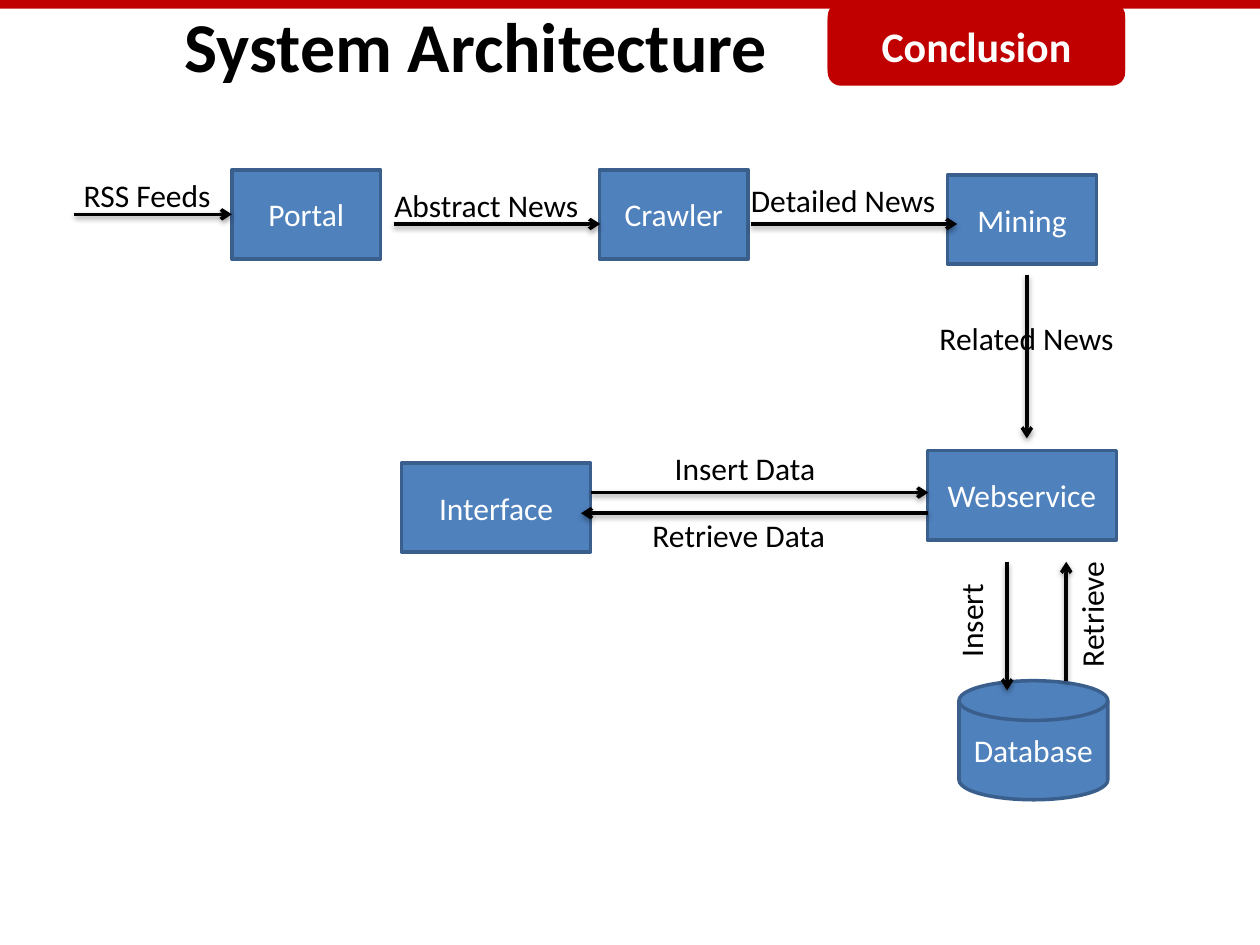
from typing import NamedTuple, Optional

import pptx
import pptx.dml.color
import pptx.enum.shapes
import pptx.enum.text
import pptx.oxml
import pptx.oxml.ns
import pptx.util

Pt = pptx.util.Pt
RGB = pptx.dml.color.RGBColor
SHAPE = pptx.enum.shapes.MSO_SHAPE
ALIGN = pptx.enum.text.PP_ALIGN
ANCHOR = pptx.enum.text.MSO_ANCHOR
AUTOSIZE = pptx.enum.text.MSO_AUTO_SIZE

RED = RGB(0xC0, 0x00, 0x00)
BLUE = RGB(0x4F, 0x81, 0xBD)
DARK_BLUE = RGB(0x3A, 0x5F, 0x8C)
WHITE = RGB(0xFF, 0xFF, 0xFF)
BLACK = RGB(0x00, 0x00, 0x00)

NARROW, WIDE, NODE_H = 85, 108, 51
LABEL_H = 29
NS = pptx.oxml.ns.nsdecls("a")
ARROWHEAD = f'<a:tailEnd {NS} type="arrow"/>'
SHADOW = (
    f'<a:effectLst {NS}><a:outerShdw blurRad="40000" dist="20000" dir="5400000" '
    'rotWithShape="0"><a:srgbClr val="000000"><a:alpha val="38000"/></a:srgbClr>'
    "</a:outerShdw></a:effectLst>"
)


class Node(NamedTuple):
    text: str
    x: float
    y: float
    w: float = NARROW
    h: float = NODE_H
    kind: int = SHAPE.RECTANGLE


class Label(NamedTuple):
    text: str
    x: float
    y: float
    w: float
    rotation: float = 0


class Arrow(NamedTuple):
    x1: float
    y1: float
    x2: float
    y2: float
    target: Optional[str] = None  # node whose left side the arrow joins


NODES = [
    Node("Portal", 132.5, 97),
    Node("Crawler", 342.5, 97),
    Node("Mining", 541.5, 100),
    Node("Database", 548, 389, h=68, kind=SHAPE.FLOWCHART_MAGNETIC_DISK),
    Node("Webservice", 530, 257.5, WIDE),
    Node("Interface", 229.5, 264.5, WIDE),
]

ARROWS = [
    Arrow(42.5, 122.5, 132.5, 122.5, "Portal"),
    Arrow(225, 128, 343, 128),
    Arrow(429, 128, 547, 128),
    Arrow(586.8, 157, 586.8, 250.5),
    Arrow(575.5, 321, 575.5, 394.5),
    Arrow(609.3, 389, 609.3, 321),
    Arrow(337.5, 281.5, 530.5, 281.5),
    Arrow(530.5, 293.3, 332, 293.3),
]

LABELS = [
    Label("RSS Feeds", 39.5, 97, 88),
    Label("Abstract News", 216.5, 102.5, 121),
    Label("Detailed News", 420.5, 100, 121),
    Label("Related News", 528.5, 178.5, 115),
    Label("Insert", 526.3, 340.5, 57, 270),
    Label("Retrieve", 586, 337, 75.5, 270),
    Label("Insert Data", 377.5, 253, 95.5),
    Label("Retrieve Data", 364, 291.5, 114.5),
]


def write(sp, text: str, size: float, color, bold=False, align=ALIGN.CENTER) -> None:
    p = sp.text_frame.paragraphs[0]
    p.text = text
    p.alignment = align
    p._p.get_or_add_pPr().set("rtl", "1")
    f = p.font
    f.name, f.size, f.bold = "Calibri", Pt(size), bold
    f.color.rgb = color


def add_block(shapes, kind: int, x: float, y: float, w: float, h: float, fill, line=None):
    sp = shapes.add_shape(kind, Pt(x), Pt(y), Pt(w), Pt(h))
    sp.shadow.inherit = False
    sp.fill.solid()
    sp.fill.fore_color.rgb = fill
    if line is None:
        sp.line.fill.background()
    else:
        sp.line.color.rgb = line
        sp.line.width = Pt(2)
    sp.text_frame.vertical_anchor = ANCHOR.MIDDLE
    return sp


def add_node(shapes, node: Node):
    sp = add_block(shapes, node.kind, node.x, node.y, node.w, node.h, BLUE, DARK_BLUE)
    sp.text_frame.word_wrap = True
    write(sp, node.text, 18, WHITE)
    return sp


def add_arrow(shapes, arrow: Arrow, nodes: dict) -> None:
    cx = shapes.add_connector(
        pptx.enum.shapes.MSO_CONNECTOR.STRAIGHT,
        Pt(arrow.x1), Pt(arrow.y1), Pt(arrow.x2), Pt(arrow.y2),
    )
    if arrow.target:
        cx.end_connect(nodes[arrow.target], 1)
    cx.line.color.rgb = BLACK
    cx.line.width = Pt(2)
    cx.line._get_or_add_ln().append(pptx.oxml.parse_xml(ARROWHEAD))
    cx._element.spPr.append(pptx.oxml.parse_xml(SHADOW))


def add_label(shapes, label: Label) -> None:
    tb = shapes.add_textbox(Pt(label.x), Pt(label.y), Pt(label.w), Pt(LABEL_H))
    tb.rotation = label.rotation
    tb.text_frame.word_wrap = False
    tb.text_frame.auto_size = AUTOSIZE.SHAPE_TO_FIT_TEXT
    write(tb, label.text, 18, BLACK, align=ALIGN.RIGHT)


def main() -> None:
    prs = pptx.Presentation()
    prs.slide_width, prs.slide_height = Pt(720), Pt(540)
    s = prs.slides.add_slide(prs.slide_layouts[6])

    # Header band with its section tab
    band = s.shapes.add_group_shape()
    add_block(band.shapes, SHAPE.RECTANGLE, 0, -2, 720, 7, RED)
    add_block(band.shapes, SHAPE.ROUNDED_RECTANGLE, 473, 1.5, 170, 45.5, RED)
    tab = add_block(s.shapes, SHAPE.ROUNDED_RECTANGLE, 473, 3.5, 170, 45.5, RED)
    write(tab, "Conclusion", 24, WHITE, bold=True)

    # Title
    title = s.shapes.add_textbox(Pt(-88), Pt(-2), Pt(720), Pt(55.5))
    title.text_frame.word_wrap = True
    title.text_frame.auto_size = AUTOSIZE.SHAPE_TO_FIT_TEXT
    write(title, "System Architecture", 40, BLACK, bold=True)

    # Architecture diagram
    nodes = {node.text: add_node(s.shapes, node) for node in NODES}
    for arrow in ARROWS:
        add_arrow(s.shapes, arrow, nodes)
    for label in LABELS:
        add_label(s.shapes, label)

    prs.save("out.pptx")


if __name__ == "__main__":
    main()
